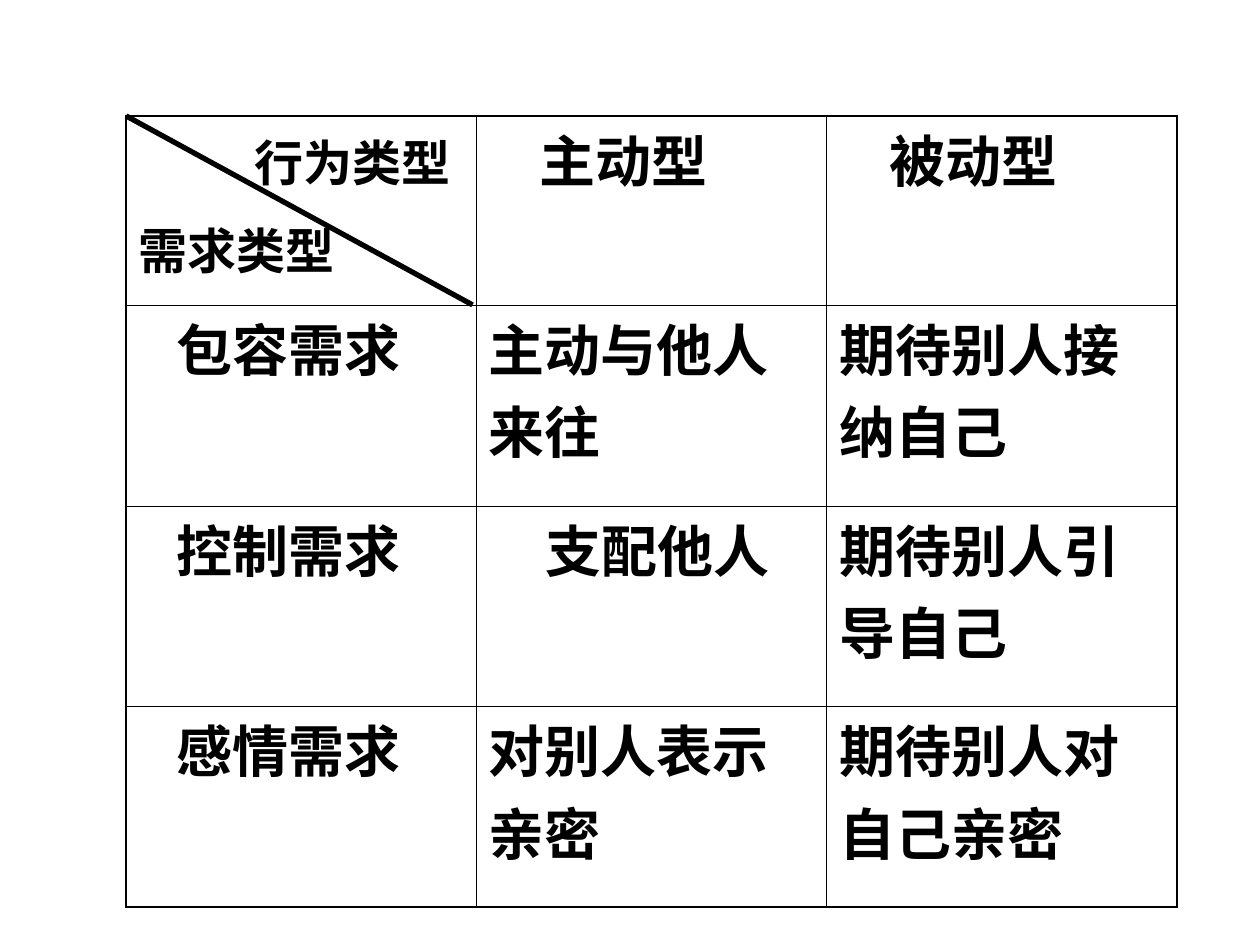
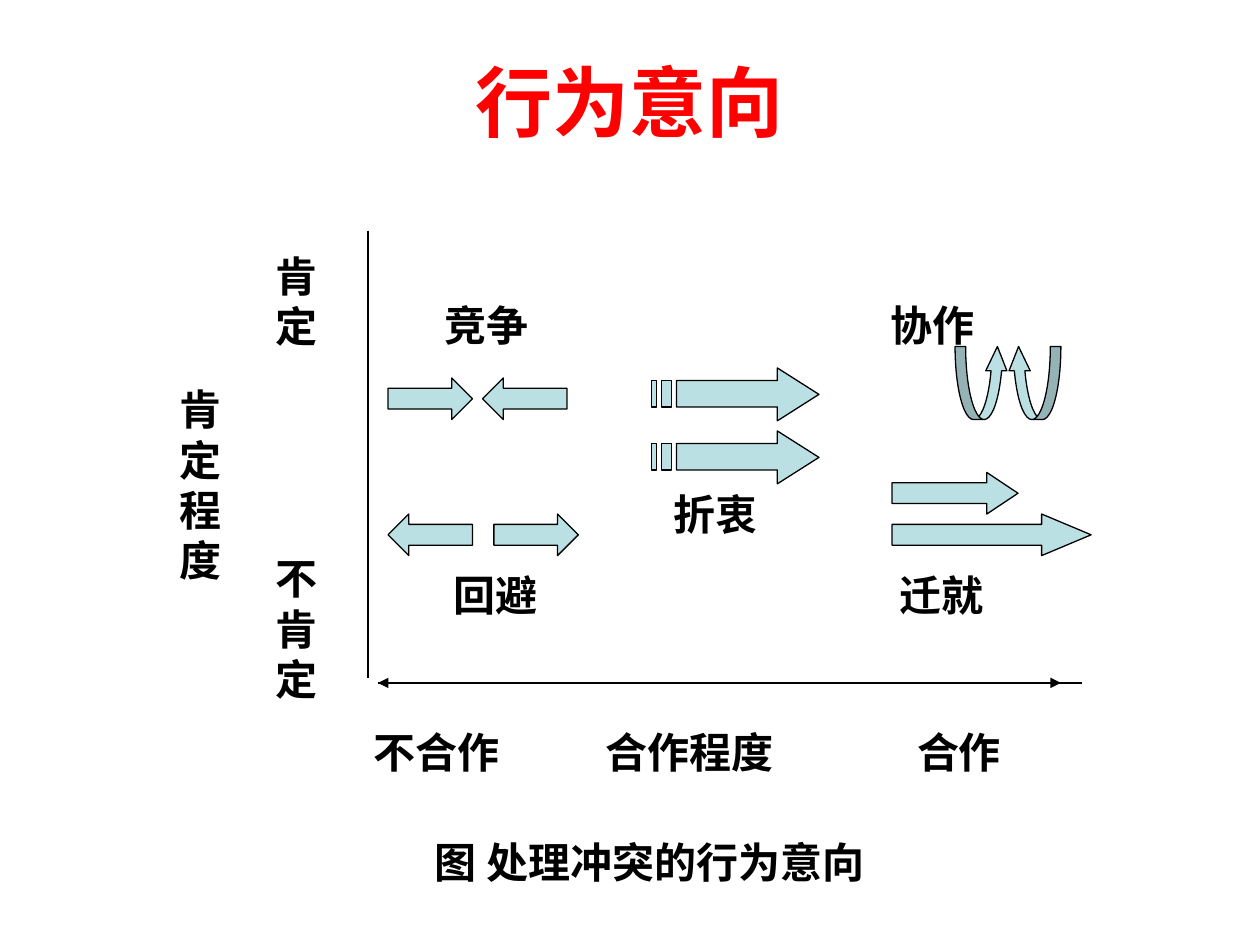
"""Build two slides on interpersonal needs and conflict-handling intentions."""
from dataclasses import dataclass

from lxml import etree
from pptx import Presentation
from pptx.dml.color import RGBColor
from pptx.enum.shapes import MSO_CONNECTOR, MSO_SHAPE
from pptx.enum.text import MSO_ANCHOR, PP_ALIGN
from pptx.oxml.ns import qn
from pptx.util import Inches, Pt

STRAIGHT = MSO_CONNECTOR.STRAIGHT
RIGHT_ARROW = MSO_SHAPE.RIGHT_ARROW
LEFT_ARROW = MSO_SHAPE.LEFT_ARROW
U_ARROW = MSO_SHAPE.CURVED_UP_ARROW
LEFT, CENTER = PP_ALIGN.LEFT, PP_ALIGN.CENTER
TOP, MIDDLE = MSO_ANCHOR.TOP, MSO_ANCHOR.MIDDLE


@dataclass(frozen=True)
class Theme:
    ink: RGBColor = RGBColor(0, 0, 0)
    title_color: RGBColor = RGBColor(255, 0, 0)
    arrow_fill: RGBColor = RGBColor(0xBB, 0xE0, 0xE3)
    font: str = "Arial"
    corner_font: str = "Times New Roman"
    title: float = 44
    cell: float = 32
    corner: float = 28
    label: float = 24
    cell_leading: float = 47
    label_leading: float = 28.7
    thin: float = 0.75
    thick: float = 3
    inner_border: float = 0.45
    outer_border: float = 1.08


class Deck:
    def __init__(self, theme):
        self.theme = theme
        self.prs = Presentation()
        self.prs.slide_width, self.prs.slide_height = Inches(10), Inches(7.5)
        self.slide = None

    def add_slide(self):
        self.slide = self.prs.slides.add_slide(self.prs.slide_layouts[6])

    def style(self, paragraph, size, color=None, font=None, align=LEFT, leading=None):
        paragraph.alignment = align
        if leading:
            paragraph.line_spacing = Pt(leading)
        paragraph.font.size = Pt(size)
        paragraph.font.bold = True
        paragraph.font.name = font or self.theme.font
        paragraph.font.color.rgb = color or self.theme.ink

    def text(self, words, x, y, w, h, size=None, anchor=TOP, **style):
        frame = self.slide.shapes.add_textbox(Inches(x), Inches(y), Inches(w), Inches(h)).text_frame
        frame.word_wrap = True
        frame.vertical_anchor = anchor
        frame.text = words
        self.style(frame.paragraphs[0], size or self.theme.label, **style)

    def stacked(self, words, x, y, w):
        leading = self.theme.label_leading
        self.text(words, x, y, w, 0.1 + 0.4 * len(words), leading=leading)

    def line(self, x1, y1, x2, y2, width=None, arrows=False):
        line = self.slide.shapes.add_connector(
            STRAIGHT, Inches(x1), Inches(y1), Inches(x2), Inches(y2))
        line.line.color.rgb = self.theme.ink
        line.line.width = Pt(width or self.theme.thin)
        properties = line._element.spPr
        if arrows:
            for end in ("a:headEnd", "a:tailEnd"):
                etree.SubElement(properties.find(qn("a:ln")), qn(end), type="triangle")
        etree.SubElement(properties, qn("a:effectLst"))

    def paint(self, shape):
        shape.shadow.inherit = False
        shape.fill.solid()
        shape.fill.fore_color.rgb = self.theme.arrow_fill
        shape.line.color.rgb = self.theme.ink
        shape.line.width = Pt(self.theme.thin)

    def arrow(self, kind, x, y, w, h, adjustments, mirrored=False):
        arrow = self.slide.shapes.add_shape(kind, Inches(x), Inches(y), Inches(w), Inches(h))
        for index, value in enumerate(adjustments):
            arrow.adjustments[index] = value
        if mirrored:
            arrow._element.spPr.find(qn("a:xfrm")).set("flipH", "1")
        self.paint(arrow)

    def striped_arrow(self, x, y):
        top, bottom = 0.1, 0.31
        head = [(1, 0), (1, top), (0.2, top), (0.2, bottom), (1, bottom), (1, 0.42), (1.33, 0.21)]
        stripes = [[(a, top), (a, bottom), (b, bottom), (b, top)]
                   for a, b in ((0.08, 0.16), (0, 0.04))]
        builder = self.slide.shapes.build_freeform(Inches(head[0][0]), Inches(head[0][1]))
        builder.add_line_segments([(Inches(a), Inches(b)) for a, b in head[1:]])
        for stripe in stripes:
            corners = [(Inches(a), Inches(b)) for a, b in stripe]
            builder.move_to(*corners[0])
            builder.add_line_segments(corners[1:])
        self.paint(builder.convert_to_shape(Inches(x), Inches(y)))

    def cell(self, cell, words, size, leading, align, indent, margin_top, edges):
        cell.text = words
        cell.margin_left = Inches(0.1 + indent)
        cell.margin_top = Inches(margin_top)
        self.style(cell.text_frame.paragraphs[0], size, align=align, leading=leading)
        properties = cell._tc.get_or_add_tcPr()
        for side, outer in zip("LRTB", edges):
            width = self.theme.outer_border if outer else self.theme.inner_border
            border = etree.SubElement(properties, qn(f"a:ln{side}"), w=str(Pt(width)))
            fill = etree.SubElement(border, qn("a:solidFill"))
            etree.SubElement(fill, qn("a:srgbClr"), val=str(self.theme.ink))
        cell.fill.background()

    def needs_table(self, rows, x, y, column_width, heights):
        columns = len(rows[0])
        table = self.slide.shapes.add_table(
            len(rows), columns, Inches(x), Inches(y),
            Inches(column_width * columns), Inches(sum(heights))).table
        table.first_row = table.horz_banding = False
        for column in table.columns:
            column.width = Inches(column_width)
        for r, (row, height) in enumerate(zip(rows, heights)):
            table.rows[r].height = Inches(height)
            for c, words in enumerate(row):
                corner = r == c == 0
                centered = words == "支配他人"
                indent = 0 if corner else 0.4 if r == 0 else 0.3 if c == 0 else 0.1 * centered
                self.cell(
                    table.cell(r, c), words,
                    self.theme.corner if corner else self.theme.cell,
                    None if corner else self.theme.cell_leading,
                    CENTER if centered else LEFT, indent, 0.77 if corner else 0,
                    (c == 0, c == columns - 1, r == 0, r == len(rows) - 1))


def build_needs(deck):
    theme = deck.theme
    deck.add_slide()
    deck.needs_table([
        ("需求类型", "主动型", "被动型"),
        ("包容需求", "主动与他人来往", "期待别人接纳自己"),
        ("控制需求", "支配他人", "期待别人引导自己"),
        ("感情需求", "对别人表示亲密", "期待别人对自己亲密"),
    ], 1, 0.92, 2.78, (1.5, 1.6, 1.59, 1.59))
    deck.line(1, 0.92, 3.75, 2.42, theme.thick)
    deck.text("行为类型", 1.92, 1, 2.07, 0.57, theme.corner, font=theme.corner_font)


def build_intentions(deck):
    theme = deck.theme
    deck.add_slide()
    deck.text("行为意向", 0.5, 0.3, 9, 1, theme.title, MIDDLE,
              color=theme.title_color, align=CENTER)

    deck.stacked("肯定程度", 1.33, 3, 0.55)
    deck.stacked("肯定", 2.09, 1.94, 0.63)
    deck.stacked("不肯定", 2.09, 4.34, 0.63)
    deck.line(2.92, 1.83, 2.92, 5.38)
    deck.line(3, 5.42, 8.59, 5.42)
    deck.line(3, 5.42, 8.42, 5.42, arrows=True)

    for words, x, y, width in (
        ("不合作", 2.87, 5.72, 1.5), ("合作程度", 4.71, 5.72, 1.7), ("合作", 7.18, 5.72, 1.26),
        ("竞争", 3.43, 2.33, 1.26), ("协作", 6.97, 2.33, 1.26),
        ("回避", 3.5, 4.47, 1.26), ("迁就", 7.04, 4.47, 1.26),
        ("折衷", 5.25, 3.83, 1.26), ("图 处理冲突的行为意向", 3.35, 6.59, 4.65),
    ):
        deck.text(words, x, y, width, 0.5)

    for kind, x, y, width, head in (
        (RIGHT_ARROW, 3.08, 3, 0.67, 0.5), (LEFT_ARROW, 3.83, 3, 0.67, 0.5),
        (LEFT_ARROW, 3.08, 4.08, 0.67, 0.5), (RIGHT_ARROW, 3.92, 4.08, 0.67, 0.5),
        (RIGHT_ARROW, 7.08, 3.75, 1, 0.75), (RIGHT_ARROW, 7.08, 4.08, 1.58, 1.19),
    ):
        deck.arrow(kind, x, y, width, 0.33, (0.5, head))
    for y in (2.92, 3.42):
        deck.striped_arrow(5.17, y)
    for x, mirrored in ((7.58, False), (8, True)):
        deck.arrow(U_ARROW, x, 2.75, 0.42, 0.58, (0.2, 0.4, 0.46), mirrored)


def main():
    deck = Deck(Theme())
    build_needs(deck)
    build_intentions(deck)
    deck.prs.save("out.pptx")


if __name__ == "__main__":
    main()
